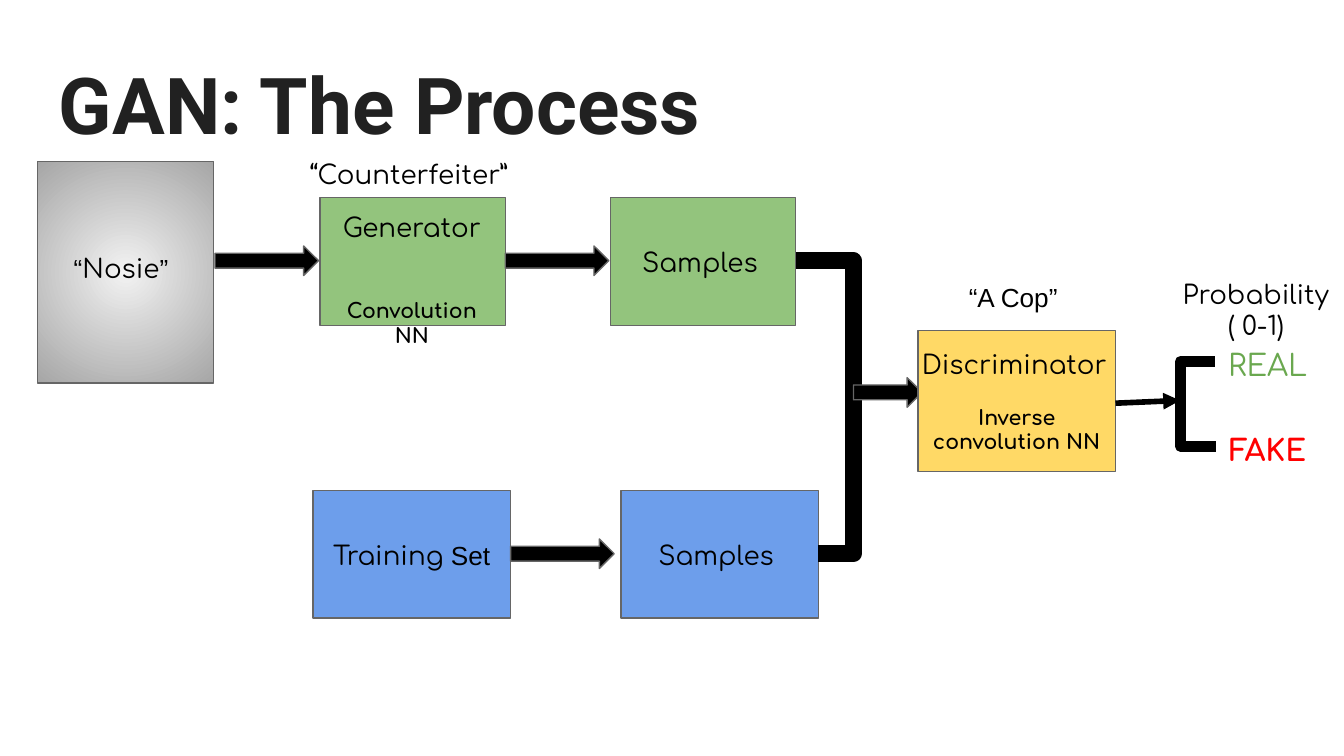
import pptx
import pptx.dml.color
import pptx.enum.shapes
import pptx.enum.text
import pptx.oxml
import pptx.oxml.ns
import pptx.util

Inches = pptx.util.Inches
Pt = pptx.util.Pt
RGBColor = pptx.dml.color.RGBColor
SHAPE = pptx.enum.shapes.MSO_SHAPE
LINK = pptx.enum.shapes.MSO_CONNECTOR
CENTER = pptx.enum.text.PP_ALIGN.CENTER

BLACK = RGBColor(0x00, 0x00, 0x00)
INK = RGBColor(0x21, 0x21, 0x21)
EDGE = RGBColor(0x66, 0x66, 0x66)
PALE = RGBColor(0xF2, 0xF2, 0xF2)
GRAY = RGBColor(0xA6, 0xA6, 0xA6)
GREEN = RGBColor(0x93, 0xC4, 0x7D)
BLUE = RGBColor(0x6D, 0x9E, 0xEB)
GOLD = RGBColor(0xFF, 0xD9, 0x66)
REAL = RGBColor(0x6A, 0xA8, 0x4F)
FAKE = RGBColor(0xFF, 0x00, 0x00)
ROUND = "Comfortaa"
PLAIN = "Arial"


def make_node(tag, inner=""):
    space = pptx.oxml.ns.nsdecls("a")
    return pptx.oxml.parse_xml(f"<a:{tag} {space}>{inner}</a:{tag.split()[0]}>")


def add_block(slide, kind, left, top, width, height, color):
    block = slide.shapes.add_shape(
        kind, Inches(left), Inches(top), Inches(width), Inches(height))
    block.shadow.inherit = False
    block.fill.solid()
    block.fill.fore_color.rgb = color
    block.line.color.rgb = EDGE
    block.line.width = Pt(0.75)
    return block


def add_glow(block):
    block.fill.gradient()
    for stop, color in zip(block.fill.gradient_stops, (PALE, GRAY)):
        stop.color.rgb = color
    grad = block.element.spPr.find(pptx.oxml.ns.qn("a:gradFill"))
    line = grad.find(pptx.oxml.ns.qn("a:lin"))
    center = '<a:fillToRect l="50000" t="50000" r="50000" b="50000"/>'
    grad.replace(line, make_node('path path="circle"', center))


def add_arrow(slide, left, top, width):
    add_block(slide, SHAPE.RIGHT_ARROW, left, top, width, 0.22, BLACK)


def add_text(slide, left, top, width, height, runs,
             size=14, color=BLACK, font=ROUND, bold=False, align=None):
    box = slide.shapes.add_textbox(
        Inches(left), Inches(top), Inches(width), Inches(height))
    frame = box.text_frame
    frame.word_wrap = True
    frame.margin_top = frame.margin_bottom = Inches(0.1)
    para = frame.paragraphs[0]
    set_font(para.font, size, color, font, bold)
    para.alignment = align
    if isinstance(runs, str):
        runs = [(runs, font)]
    for words, face in runs:
        run = para.add_run()
        run.text = words
        if face != font:
            run.font.name = face
    return frame


def set_font(font, size, color, face, bold):
    font.size = Pt(size)
    font.color.rgb = color
    font.name = face
    font.bold = bold


def add_note(frame, words, gap):
    para = frame.add_paragraph()
    para.text = words
    para.alignment = CENTER
    para.space_before = Pt(gap)
    set_font(para.font, 11, BLACK, ROUND, True)


def add_line(slide, kind, start, end, width):
    line = slide.shapes.add_connector(kind, *map(Inches, start + end))
    line.line.color.rgb = BLACK
    line.line.width = Pt(width)
    line.element.spPr.append(make_node("effectLst"))
    return line


def add_bracket(slide, start, end, spine, width):
    line = add_line(slide, LINK.ELBOW, start, end, width)
    bend = round((spine - start[0]) / (end[0] - start[0]) * 100000)
    shape = line.element.spPr.find(pptx.oxml.ns.qn("a:prstGeom"))
    for old in list(shape):
        shape.remove(old)
    shape.append(make_node("avLst", f'<a:gd name="adj1" fmla="val {bend}"/>'))


def add_pointer(slide, start, end):
    line = add_line(slide, LINK.STRAIGHT, start, end, 3)
    stroke = line.element.spPr.find(pptx.oxml.ns.qn("a:ln"))
    stroke.append(make_node('tailEnd type="triangle"'))


def main():
    deck = pptx.Presentation()
    deck.slide_width = Inches(10)
    deck.slide_height = Inches(10 * 9 / 16)
    slide = deck.slides.add_slide(deck.slide_layouts[6])

    add_text(slide, 0.34, 0.32, 9.32, 0.88, "GAN: The Process",
             42, INK, "Roboto", True)

    noise = add_block(slide, SHAPE.RECTANGLE, 0.28, 1.2, 1.31, 1.65, GRAY)
    add_glow(noise)
    for left, top, width, height, color in (
            (2.38, 1.47, 1.38, 0.95, GREEN), (4.54, 1.47, 1.38, 0.95, GREEN),
            (2.33, 3.65, 1.47, 0.95, BLUE), (4.62, 3.65, 1.47, 0.95, BLUE)):
        add_block(slide, SHAPE.RECTANGLE, left, top, width, height, color)

    for left, top in ((1.6, 1.83), (3.76, 1.83), (3.8, 4.01)):
        add_arrow(slide, left, top, 0.77)
    add_bracket(slide, (5.92, 1.94), (6.09, 4.12), 6.35, 9)
    add_arrow(slide, 6.35, 2.81, 0.51)
    add_block(slide, SHAPE.RECTANGLE, 6.83, 2.46, 1.47, 1.05, GOLD)
    add_pointer(slide, (8.3, 3), (8.78, 2.98))
    add_bracket(slide, (9.04, 2.69), (9.05, 3.32), 8.78, 6)

    add_text(slide, 0.45, 1.78, 1.05, 0.32,
             [("“", PLAIN), ("Nosie", ROUND), ("”", PLAIN)])
    maker = add_text(slide, 2.41, 1.47, 1.31, 0.42, "Generator", align=CENTER)
    add_note(maker, "Convolution NN", 30)
    add_text(slide, 2.38, 3.91, 1.38, 0.42,
             [("Training", ROUND), (" Set", PLAIN)])
    for left, top in ((4.68, 1.73), (4.8, 3.91)):
        add_text(slide, left, top, 1.1, 0.42, "Samples")
    judge = add_text(slide, 6.76, 2.49, 1.61, 0.42, "Discriminator")
    add_note(judge, "Inverse convolution NN", 13.5)
    add_text(slide, 9.04, 2.48, 0.9, 0.42, "REAL", 16, REAL)
    add_text(slide, 9.05, 3.11, 0.9, 0.42, "FAKE", 16, FAKE, bold=True)
    add_text(slide, 2.21, 1.08, 1.84, 0.22, "“Counterfeiter”")
    add_text(slide, 7.11, 1.99, 0.99, 0.42, "“A Cop”", font=PLAIN)
    add_text(slide, 8.69, 1.97, 1.31, 0.47, "Probability ( 0-1)", align=CENTER)

    deck.save("out.pptx")


if __name__ == "__main__":
    main()
